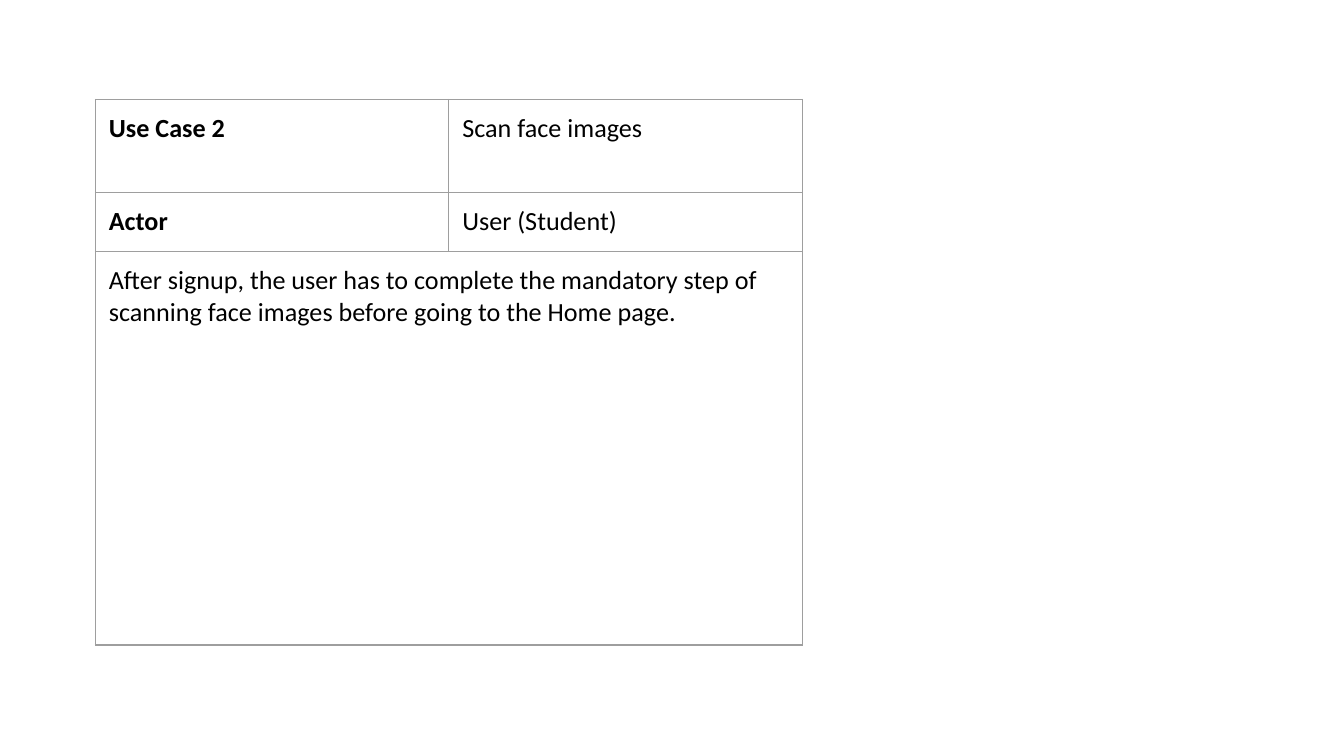
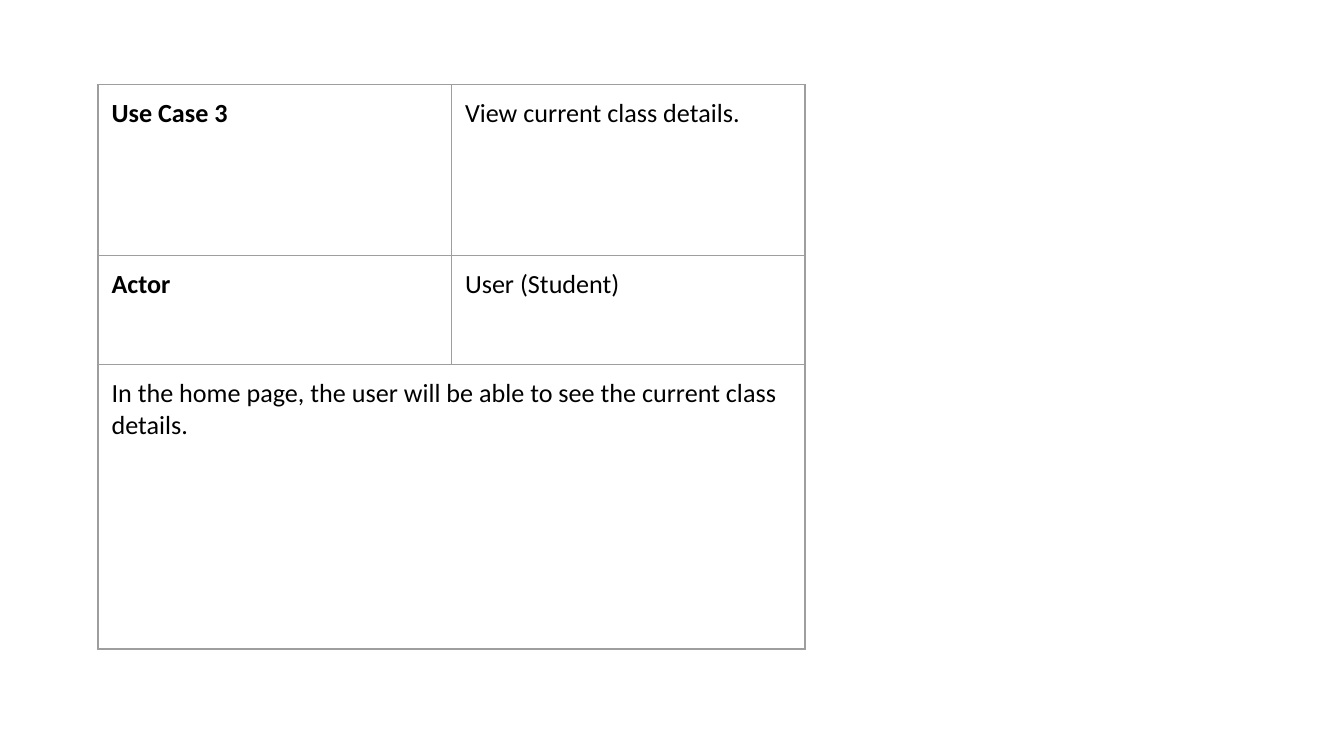
from lxml import etree
from pptx import Presentation
from pptx.dml.color import RGBColor
from pptx.oxml.ns import qn
from pptx.util import Inches, Pt

BLACK = RGBColor(0x00, 0x00, 0x00)
WHITE = RGBColor(0xFF, 0xFF, 0xFF)
GREY = RGBColor(0x9E, 0x9E, 0x9E)
FONT = "Calibri"
TEXT_SIZE = Pt(14)
BORDER_WIDTH = Pt(0.75)
CELL_MARGIN = Inches(0.1)
COL_WIDTH = 2.63

USE_CASES = [
    dict(left=0.71, top=0.74, row_heights=(0.69, 0.44, 2.93),
         number=2, title="Scan face images", actor="User (Student)",
         description="After signup, the user has to complete the mandatory step of "
                     "scanning face images before going to the Home page."),
    dict(left=0.73, top=0.63, row_heights=(1.27, 0.81, 2.12),
         number=3, title="View current class details.", actor="User (Student)",
         description="In the home page, the user will be able to see the current "
                     "class details."),
]


def style_cell(cell):
    """Give a cell its margins, borders and plain fill."""
    cell.margin_left = cell.margin_right = CELL_MARGIN
    cell.margin_top = cell.margin_bottom = CELL_MARGIN
    tc_pr = cell._tc.get_or_add_tcPr()
    # Borders come before the fill in the cell properties
    for side in ("a:lnL", "a:lnR", "a:lnT", "a:lnB"):
        ln = etree.SubElement(tc_pr, qn(side), w=str(BORDER_WIDTH))
        fill = etree.SubElement(ln, qn("a:solidFill"))
        etree.SubElement(fill, qn("a:srgbClr"), val=str(GREY))
    cell.fill.background()


def write_cell(cell, text, bold=False):
    r = cell.text_frame.paragraphs[0].add_run()
    r.text = text
    r.font.name = FONT
    r.font.size = TEXT_SIZE
    r.font.bold = bold
    r.font.color.rgb = BLACK


def add_use_case_table(s, left, top, row_heights, number, title, actor, description):
    """Two label rows above a description that spans both columns."""
    table = s.shapes.add_table(
        len(row_heights), 2, Inches(left), Inches(top),
        Inches(2 * COL_WIDTH), Inches(sum(row_heights))).table
    table.first_row = False
    table.horz_banding = False
    for col in table.columns:
        col.width = Inches(COL_WIDTH)
    for row, height in zip(table.rows, row_heights):
        row.height = Inches(height)
    for cell in table.iter_cells():
        style_cell(cell)

    # Label rows
    for i, (label, value) in enumerate([(f"Use Case {number}", title), ("Actor", actor)]):
        write_cell(table.cell(i, 0), label, bold=True)
        write_cell(table.cell(i, 1), value)

    # Description
    table.cell(2, 0).merge(table.cell(2, 1))
    write_cell(table.cell(2, 0), description)


def add_use_case_slide(prs, use_case):
    s = prs.slides.add_slide(prs.slide_layouts[6])
    s.background.fill.solid()
    s.background.fill.fore_color.rgb = WHITE
    add_use_case_table(s, **use_case)


def main():
    prs = Presentation()
    # Widescreen, 16:9
    prs.slide_width = Inches(10)
    prs.slide_height = prs.slide_width * 9 // 16
    for use_case in USE_CASES:
        add_use_case_slide(prs, use_case)
    prs.save("out.pptx")


if __name__ == "__main__":
    main()
